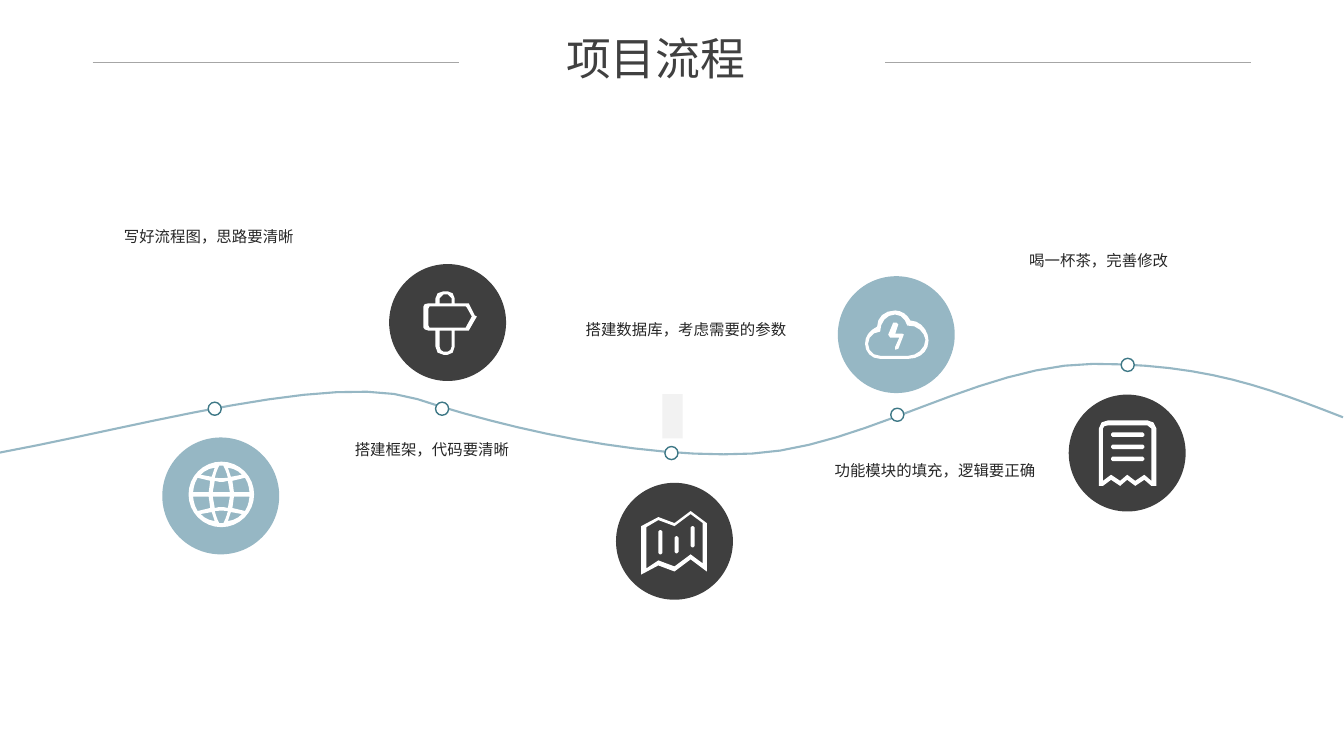
import math

import pptx
import pptx.dml.color
import pptx.enum.shapes
import pptx.enum.text
import pptx.oxml.ns
import pptx.util
from lxml import etree

FONT = "Open Sans"
BLUE, DARK, WHITE, TEAL = "96B7C4", "3F3F3F", "FFFFFF", "3E7886"
INK, TITLE, RULE, PALE = "262626", "404040", "A6A6A6", "F2F2F2"
COLS, ROWS = 133.3, 75
DISC, DOT = 11.6, 1.3


def color(code):
    return pptx.dml.color.RGBColor.from_string(code)


def trace(line):
    """Turn a start point, corners (x, y) and cubic curves (6 numbers) into points."""
    pts = [line[0]]
    for seg in line[1:]:
        if len(seg) == 2:
            pts.append(seg)
            continue
        start = pts[-1]
        span = max(abs(seg[4] - start[0]), abs(seg[5] - start[1]))
        count = min(12, 1 + int(2 * span))
        for step in range(1, count + 1):
            t = step / count
            pts.append(tuple(
                (1 - t) ** 3 * start[k] + 3 * t * (1 - t) ** 2 * seg[k]
                + 3 * t * t * (1 - t) * seg[k + 2] + t ** 3 * seg[k + 4]
                for k in (0, 1)))
    return pts


class Deck:
    """Places elements on a grid of COLS columns and ROWS rows."""

    def __init__(self):
        self.prs = pptx.Presentation()
        self.prs.slide_width = pptx.util.Inches(13.33)
        self.prs.slide_height = pptx.util.Inches(7.5)
        self.shapes = self.prs.slides.add_slide(self.prs.slide_layouts[6]).shapes

    def grid(self, x, y):
        return (round(x / COLS * self.prs.slide_width),
                round(y / ROWS * self.prs.slide_height))

    def style(self, shape, fill=None, line=None, width=1):
        shape.shadow.inherit = False
        if fill:
            shape.fill.solid()
            shape.fill.fore_color.rgb = color(fill)
        else:
            shape.fill.background()
        if line:
            shape.line.color.rgb = color(line)
            shape.line.width = pptx.util.Pt(width)
        else:
            shape.line.fill.background()

    def block(self, x, y, w, h, fill):
        kind = pptx.enum.shapes.MSO_SHAPE.RECTANGLE
        self.style(self.shapes.add_shape(kind, *self.grid(x, y), *self.grid(w, h)), fill)

    def disc(self, x, y, size, fill, line=None):
        """Draw a circle around the centre x, y."""
        kind = pptx.enum.shapes.MSO_SHAPE.OVAL
        spot = self.grid(x - size / 2, y - size / 2)
        self.style(self.shapes.add_shape(kind, *spot, *self.grid(size, size)), fill, line)

    def form(self, lines, x=0, y=0, fill=None, line=None, width=1):
        """Draw outlines as one shape; an inner outline is a hole."""
        pen = None
        for item in lines:
            pts = [self.grid(x + px, y + py) for px, py in trace(item)]
            if pen is None:
                pen = self.shapes.build_freeform(*pts[0], scale=1.0)
            else:
                pen.move_to(*pts[0])
            pen.add_line_segments(pts[1:], close=fill is not None)
        self.style(pen.convert_to_shape(), fill, line, width)

    def rule(self, x, y, end):
        kind = pptx.enum.shapes.MSO_CONNECTOR.STRAIGHT
        line = self.shapes.add_connector(kind, *self.grid(x, y), *self.grid(end, y))
        line.line.color.rgb = color(RULE)
        line.line.width = pptx.util.Pt(0.5)
        etree.SubElement(line._element.spPr, pptx.oxml.ns.qn("a:effectLst"))

    def text(self, x, y, w, h, words, size, ink, head=False):
        box = self.shapes.add_textbox(*self.grid(x, y), *self.grid(w, h))
        frame = box.text_frame
        frame.word_wrap = True
        frame.auto_size = pptx.enum.text.MSO_AUTO_SIZE.SHAPE_TO_FIT_TEXT
        para = frame.paragraphs[0]
        if head:
            frame.margin_left = frame.margin_right = 0
            frame.margin_top = frame.margin_bottom = 0
            frame.vertical_anchor = pptx.enum.text.MSO_ANCHOR.MIDDLE
            para.alignment = pptx.enum.text.PP_ALIGN.CENTER
        else:
            para.line_spacing = 1.2
        run = para.add_run()
        run.text = words
        run.font.name = FONT
        run.font.size = pptx.util.Pt(size)
        run.font.color.rgb = color(ink)


def pill(x, y, w, h):
    """Outline of a bar with blunt ends."""
    r, e, b = min(w, h) / 3, x + w, y + h
    return [(x + r, y), (e - r, y), (e, y + r), (e, b - r),
            (e - r, b), (x + r, b), (x, b - r), (x, y + r)]


def globe():
    mid, count = 3.25, 32
    turns = [2 * math.pi * k / count for k in range(count)]
    ring = [(mid + mid * math.cos(a), mid + mid * math.sin(a)) for a in turns]
    side = [[(0.65, 2.65), (0.95, 1.75), (2.05, 1.95), (1.75, 2.3, 1.2, 2.6, 0.65, 2.65)],
            [(1.25, 0.22), (1.1, 1.35), (2.35, 1.65), (2.65, 1.2, 2.75, 0.7, 2.8, 0.22)]]
    core = [[(-0.2, 2.85), (0.2, 2.85), (0.4, 2.5, 0.55, 2.1, 0.65, 1.65),
             (0.2, 1.6, -0.2, 1.6, -0.65, 1.65), (-0.55, 2.1, -0.4, 2.5, -0.2, 2.85)],
            [(-0.85, 0.22), (0.85, 0.22), (0.65, 1.35), (0.2, 1.2, -0.2, 1.2, -0.65, 1.35)]]
    cells = [(cell, sx, sy) for sy in (-1, 1)
             for group, signs in ((side, (-1, 1)), (core, (1,)))
             for cell in group for sx in signs]
    return [ring] + [[tuple(mid + v * (sx, sy)[k % 2] for k, v in enumerate(seg))
                      for seg in cell] for cell, sx, sy in cells]


SIGN = [
    [(5.1, 2.4), (4.5, 1.2), (3.1, 1.2), (3.1, 0.7), (3.1, 0.3, 2.8, 0, 2.4, 0), (2, 0),
     (1.5, 0, 1.2, 0.3, 1.2, 0.7), (1.2, 1.2), (0.5, 1.2), (0.2, 1.2, 0, 1.3, 0, 1.5),
     (0, 3.6), (0, 3.7, 0.2, 3.9, 0.5, 3.9), (1.2, 3.9), (1.2, 5.5),
     (1.2, 6, 1.5, 6.3, 2, 6.3), (2.4, 6.3), (2.8, 6.3, 3.1, 6, 3.1, 5.5),
     (3.1, 3.9), (4.5, 3.9), (5.3, 2.5)],
    [(1.6, 0.7), (1.6, 0.6, 1.8, 0.3, 2, 0.3), (2.4, 0.3),
     (2.6, 0.3, 2.8, 0.6, 2.8, 0.7), (2.8, 1.2), (1.6, 1.2)],
    [(2.8, 5.5), (2.8, 5.7, 2.6, 6, 2.4, 6), (2, 6),
     (1.8, 6, 1.6, 5.7, 1.6, 5.5), (1.6, 3.9), (2.8, 3.9)],
    [(4.3, 3.4), (4.2, 3.6), (0.6, 3.6), (0.5, 3.4), (0.5, 1.7), (0.6, 1.5),
     (4.2, 1.5), (4.3, 1.6), (4.8, 2.5)]]
MAP = [
    [(4.9, 0), (3.3, 1.2), (1.7, 0.6), (0, 1.5), (0, 6.3), (1.7, 5.4), (3.3, 6),
     (4.9, 4.8), (6.5, 6), (6.5, 1.2)],
    [(6.1, 5.2), (4.9, 4.3), (3.3, 5.5), (1.7, 4.9), (0.5, 5.7), (0.5, 1.6),
     (1.7, 0.9), (3.3, 1.5), (4.9, 0.3), (6.1, 1.2)],
    pill(1.7, 1.9, 0.4, 2.4), pill(3.3, 2.5, 0.4, 1.7), pill(4.9, 1.5, 0.4, 2.1)]
CLOUD = [
    [(4.5, 1), (4.2, 0.4, 3.6, 0, 3, 0), (1.9, 0, 1.2, 0.7, 1.2, 1.6),
     (0.4, 2, 0, 2.6, 0, 3.3), (0, 4.1, 0.6, 4.8, 1.5, 4.8), (4.3, 4.8),
     (5.4, 4.8, 6.3, 4.1, 6.3, 3), (6.3, 2, 5.5, 1, 4.5, 1)],
    [(4.3, 4.5), (1.5, 4.5), (0.8, 4.5, 0.3, 4, 0.3, 3.3), (0.3, 2.7, 0.8, 2.1, 1.5, 2.1),
     (1.5, 1.2, 2.1, 0.4, 3, 0.4), (3.6, 0.4, 4, 0.9, 4.2, 1.5),
     (5.2, 1.4, 5.9, 2.2, 6, 2.9), (6, 3.8, 5.1, 4.5, 4.3, 4.5)],
    [(3.7, 2.3), (3, 2.3), (3.3, 1.4), (3.1, 1.2), (2.8, 1.2), (2.3, 2.4), (2.5, 2.7),
     (3.4, 2.7), (3, 3.6), (3, 3.9), (3.3, 3.8), (3.85, 2.4)]]
BILL = [
    [(4.8, 0), (0.9, 0), (0.4, 0, 0, 0.3, 0, 0.8), (0, 6.5), (0.4, 6.5), (1.2, 5.9),
     (2.1, 6.5), (2.8, 5.9), (3.6, 6.5), (4.5, 5.9), (5.2, 6.5), (5.7, 6.5),
     (5.7, 0.8), (5.7, 0.3, 5.2, 0, 4.8, 0)],
    [(5.2, 6), (4.5, 5.4), (3.6, 6), (2.8, 5.4), (2.1, 6), (1.2, 5.4), (0.4, 6),
     (0.4, 0.8), (0.4, 0.6, 0.6, 0.5, 0.9, 0.5), (4.8, 0.5), (5.1, 0.5, 5.2, 0.6, 5.2, 0.8)],
] + [pill(1.2, 1.2 * row, 3.3, 0.45) for row in (1, 2, 3)]
WAVE = [(0, 44.9), (14.5, 42.2, 32.9, 36.9, 41.4, 39.6), (49.9, 42.4, 63.4, 45.6, 74.6, 45),
        (85.8, 44.4, 97.1, 36.2, 108.4, 36.1), (119.7, 36.1, 125.7, 38.5, 133.2, 41.4)]
# dot centre, disc centre, disc colour, icon, icon corner, text corner and width, words
STEPS = [
    ((21.3, 40.55), (21.9, 49.2), BLUE, globe(), (18.7, 45.8), (11.3, 21.7, 19.9),
     "写好流程图，思路要清晰"),
    ((43.85, 40.55), (44.4, 32), DARK, SIGN, (42, 28.9), (34.2, 42.8, 19.9),
     "搭建框架，代码要清晰"),
    ((66.6, 44.95), (66.9, 53.7), DARK, MAP, (63.6, 50.7), (57.1, 30.9, 22.4),
     "搭建数据库，考虑需要的参数"),
    ((89, 41.15), (88.9, 33.2), BLUE, CLOUD, (85.8, 30.8), (81.8, 44.9, 24.4),
     "功能模块的填充，逻辑要正确"),
    ((111.85, 36.2), (111.8, 44.95), DARK, BILL, (109, 41.7), (101.1, 24.1, 26.4),
     "喝一杯茶，完善修改")]


def main():
    deck = Deck()
    deck.block(65.7, 39.1, 2, 4.4, PALE)
    deck.form([WAVE], line=BLUE, width=1.5)
    for dot, hub, fill, icon, spot, (x, y, w), words in STEPS:
        deck.disc(*dot, DOT, WHITE, TEAL)
        deck.disc(*hub, DISC, fill)
        deck.form(icon, *spot, fill=WHITE)
        deck.text(x, y, w, 3, words, 11, INK)
    deck.text(44.6, 3, 40.9, 5.4, "项目流程", 32, TITLE, head=True)
    for x in (9.2, 87.8):
        deck.rule(x, 6.2, x + 36.3)
    deck.prs.save("out.pptx")


if __name__ == "__main__":
    main()
